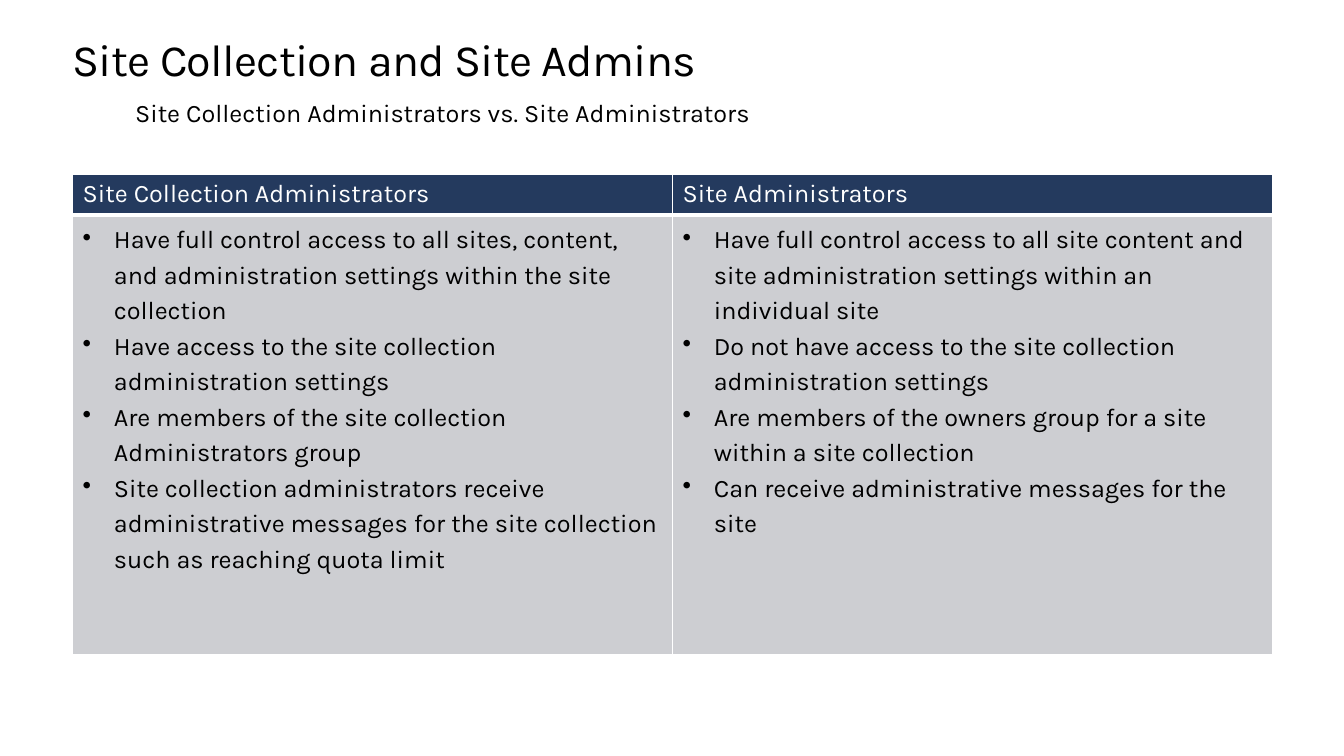
"""Builds a slide comparing site collection administrators with site administrators."""
from dataclasses import dataclass

from lxml import etree
from pptx import Presentation
from pptx import util as u
from pptx.dml.color import RGBColor
from pptx.enum import text
from pptx.oxml import ns

PX = 9144


@dataclass(frozen=True)
class Theme:
    """Holds the colours, typeface and type sizes."""
    face: str = "Karla"
    title_size: int = 32
    body_size: int = 18
    ink: str = "000000"
    paper: str = "FFFFFF"
    header: str = "243A5E"
    panel: str = "CDCED2"


class SlideBuilder:
    """Draws styled elements on the current page."""

    def __init__(self, page, theme):
        self.page = page
        self.theme = theme

    def style(self, para, size, color):
        """Sets the font of a whole paragraph."""
        para.font.name = self.theme.face
        para.font.size = u.Pt(size)
        para.font.color.rgb = RGBColor.from_string(color)

    def title(self, words, left, top, width, height):
        """Fills, moves and formats the title placeholder."""
        box = self.page.shapes.title
        box.left, box.top, box.width, box.height = (n * PX for n in (left, top, width, height))
        box.fill.solid()
        box.fill.fore_color.rgb = RGBColor.from_string(self.theme.paper)
        frame = box.text_frame
        frame.text = words
        frame.margin_left = frame.margin_top = frame.margin_right = frame.margin_bottom = 0
        frame.vertical_anchor = text.MSO_ANCHOR.TOP
        frame.auto_size = text.MSO_AUTO_SIZE.SHAPE_TO_FIT_TEXT
        para = frame.paragraphs[0]
        para.alignment = text.PP_ALIGN.LEFT
        para.line_spacing = u.Pt(36.2)
        self.style(para, self.theme.title_size, self.theme.ink)
        para.runs[0].font._element.set("spc", "-50")

    def caption(self, words, left, top, width, height):
        """Adds a centred line of text."""
        box = self.page.shapes.add_textbox(*(n * PX for n in (left, top, width, height)))
        frame = box.text_frame
        frame.word_wrap = True
        frame.auto_size = text.MSO_AUTO_SIZE.SHAPE_TO_FIT_TEXT
        frame.text = words
        para = frame.paragraphs[0]
        para.alignment = text.PP_ALIGN.CENTER
        self.style(para, self.theme.body_size, self.theme.ink)

    def borders(self, cell, top, bottom):
        """Draws the four cell borders with widths in points."""
        props = cell._tc.get_or_add_tcPr()
        edges = (("L", 1), ("R", 1), ("T", top), ("B", bottom))
        for place, (side, points) in enumerate(edges):
            line = etree.Element(ns.qn(f"a:ln{side}"), w=str(u.Pt(points)))
            fill = etree.SubElement(line, ns.qn("a:solidFill"))
            etree.SubElement(fill, ns.qn("a:srgbClr"), val=self.theme.paper)
            props.insert(place, line)

    def bullet(self, para, indent):
        """Gives a paragraph a hanging bullet."""
        props = para._p.get_or_add_pPr()
        props.set("marL", str(indent * PX))
        props.set("indent", str(-indent * PX))
        mark = etree.Element(ns.qn("a:buChar"), char="•")
        props.find(ns.qn("a:defRPr")).addprevious(mark)

    def cell(self, cell, lines, fill, color, top, bottom, bulleted=False):
        """Fills and formats one table cell."""
        cell.fill.solid()
        cell.fill.fore_color.rgb = RGBColor.from_string(fill)
        self.borders(cell, top, bottom)
        cell.text_frame.text = "\n".join(lines)
        for para in cell.text_frame.paragraphs:
            self.style(para, self.theme.body_size, color)
            if bulleted:
                para.line_spacing = 1.2
                self.bullet(para, 31)

    def comparison(self, columns, left, top, width, heights):
        """Adds a table with one heading and one bullet list per column."""
        frame = self.page.shapes.add_table(
            2, len(columns), left * PX, top * PX, width * PX, sum(heights) * PX)
        table = frame.table
        for row, height in zip(table.rows, heights):
            row.height = height * PX
        for index, (heading, points) in enumerate(columns.items()):
            self.cell(table.cell(0, index), [heading], self.theme.header,
                      self.theme.paper, top=1, bottom=3)
            self.cell(table.cell(1, index), points, self.theme.panel,
                      self.theme.ink, top=3, bottom=1, bulleted=True)


ROLES = {
    "Site Collection Administrators": [
        "Have full control access to all sites, content, and administration settings "
        "within the site collection",
        "Have access to the site collection administration settings",
        "Are members of the site collection Administrators group",
        "Site collection administrators receive administrative messages for the site "
        "collection such as reaching quota limit",
    ],
    "Site Administrators": [
        "Have full control access to all site content and site administration settings "
        "within an individual site",
        "Do not have access to the site collection administration settings",
        "Are members of the owners group for a site within a site collection",
        "Can receive administrative messages for the site",
    ],
}


def main():
    """Builds and saves the deck."""
    deck = Presentation()
    deck.slide_width, deck.slide_height = 1333 * PX, 750 * PX
    page = deck.slides.add_slide(deck.slide_layouts.get_by_name("Title Only"))
    builder = SlideBuilder(page, Theme())
    builder.title("Site Collection and Site Admins", 72, 35, 1190, 50)
    builder.comparison(ROLES, 72, 173, 1190, (38, 436))
    builder.caption("Site Collection Administrators vs. Site Administrators", 72, 92, 734, 40)
    deck.save("out.pptx")


if __name__ == "__main__":
    main()
